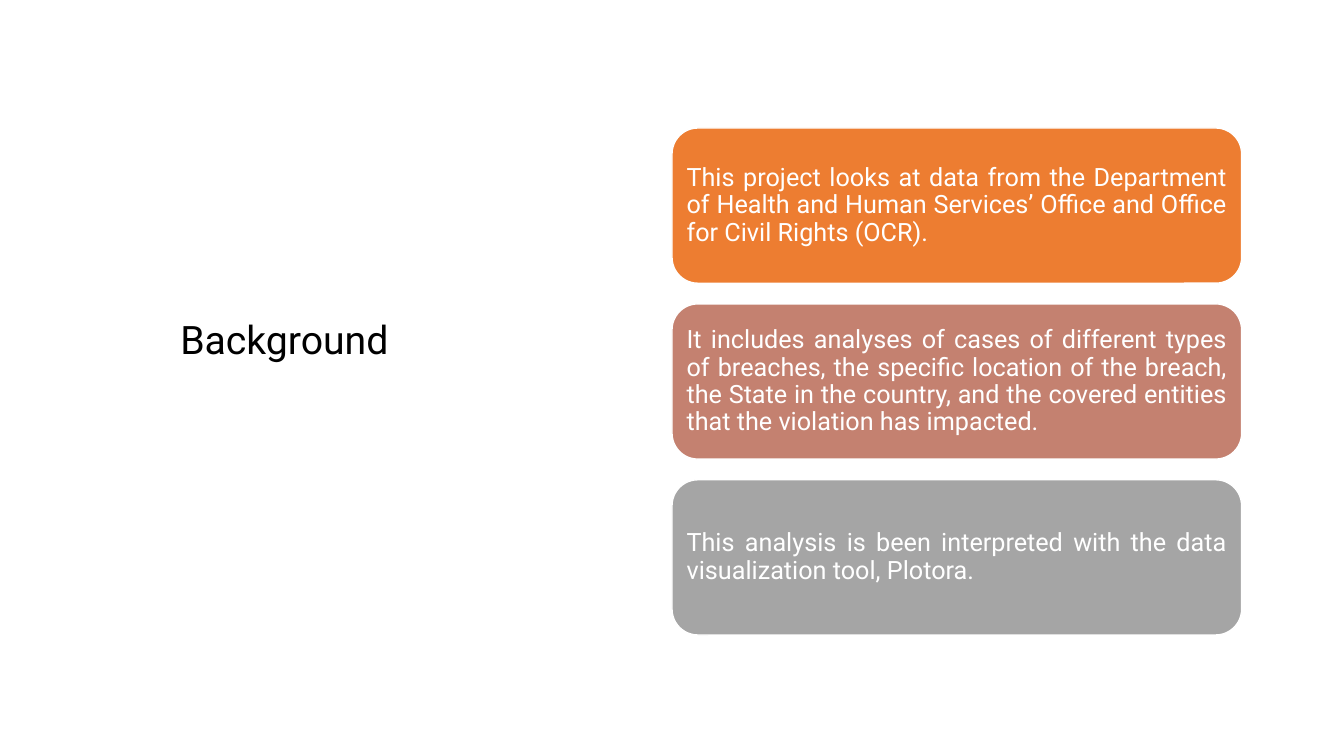
from pptx import Presentation, util as u
from pptx.dml.color import RGBColor
from pptx.enum import shapes, text

HEADING = "Background"
CARDS = [
    ("ED7D31", "This project looks at data from the Department of Health and Human "
               "Services’ Office and Office for Civil Rights (OCR)."),
    ("C48170", "It includes analyses of cases of different types of breaches, the specific "
               "location of the breach, the State in the country, and the covered entities "
               "that the violation has impacted."),
    ("A5A5A5", "This analysis is been interpreted with the data visualization tool, Plotora."),
]
SLIDE_WIDTH, SLIDE_HEIGHT = 13.33, 7.5
HEADING_BOX = (0.65, 3.08, 4.34, 0.57)
CARD_LEFT, CARD_TOP, CARD_WIDTH, CARD_HEIGHT = SLIDE_WIDTH / 2, 1.27, 5.65, 1.54
CARD_PITCH = 1.745
CARD_INSET = 0.07


def colour(hex_code):
    """Turn a hex string into a colour."""
    return RGBColor.from_string(hex_code)


def write(frame, words, size, hex_code, align):
    """Put one formatted run into the frame's first paragraph."""
    paragraph = frame.paragraphs[0]
    paragraph.alignment = align
    run = paragraph.add_run()
    run.text = words
    run.font.name = "Roboto"
    run.font.size = u.Pt(size)
    run.font.color.rgb = colour(hex_code)
    return paragraph


def add_heading(slide):
    """Place the heading in the title placeholder."""
    heading = slide.shapes.title
    heading.left, heading.top, heading.width, heading.height = map(u.Inches, HEADING_BOX)
    frame = heading.text_frame
    frame.word_wrap = True
    frame.auto_size = text.MSO_AUTO_SIZE.NONE
    frame.vertical_anchor = text.MSO_ANCHOR.TOP
    paragraph = write(frame, HEADING, 28, "000000", text.PP_ALIGN.CENTER)
    paragraph.space_after = u.Pt(6)


def add_card(slide, row, fill, words):
    """Draw one rounded card in the given row."""
    box = (CARD_LEFT, CARD_TOP + row * CARD_PITCH, CARD_WIDTH, CARD_HEIGHT)
    card = slide.shapes.add_shape(shapes.MSO_SHAPE.ROUNDED_RECTANGLE, *map(u.Inches, box))
    card.shadow.inherit = False
    card.fill.solid()
    card.fill.fore_color.rgb = colour(fill)
    card.line.color.rgb = colour("FFFFFF")
    card.line.width = u.Pt(1)
    frame = card.text_frame
    frame.word_wrap = True
    frame.vertical_anchor = text.MSO_ANCHOR.MIDDLE
    frame.margin_left = frame.margin_right = u.Inches(CARD_INSET)
    frame.margin_top = frame.margin_bottom = u.Inches(CARD_INSET)
    paragraph = write(frame, words, 18, "FFFFFF", text.PP_ALIGN.JUSTIFY)
    paragraph.line_spacing = 0.9


def main():
    """Build and save the slide."""
    deck = Presentation()
    deck.slide_width, deck.slide_height = u.Inches(SLIDE_WIDTH), u.Inches(SLIDE_HEIGHT)
    slide = deck.slides.add_slide(deck.slide_layouts.get_by_name("Title Only"))
    add_heading(slide)
    for row, (fill, words) in enumerate(CARDS):
        add_card(slide, row, fill, words)
    deck.save("out.pptx")


if __name__ == "__main__":
    main()
